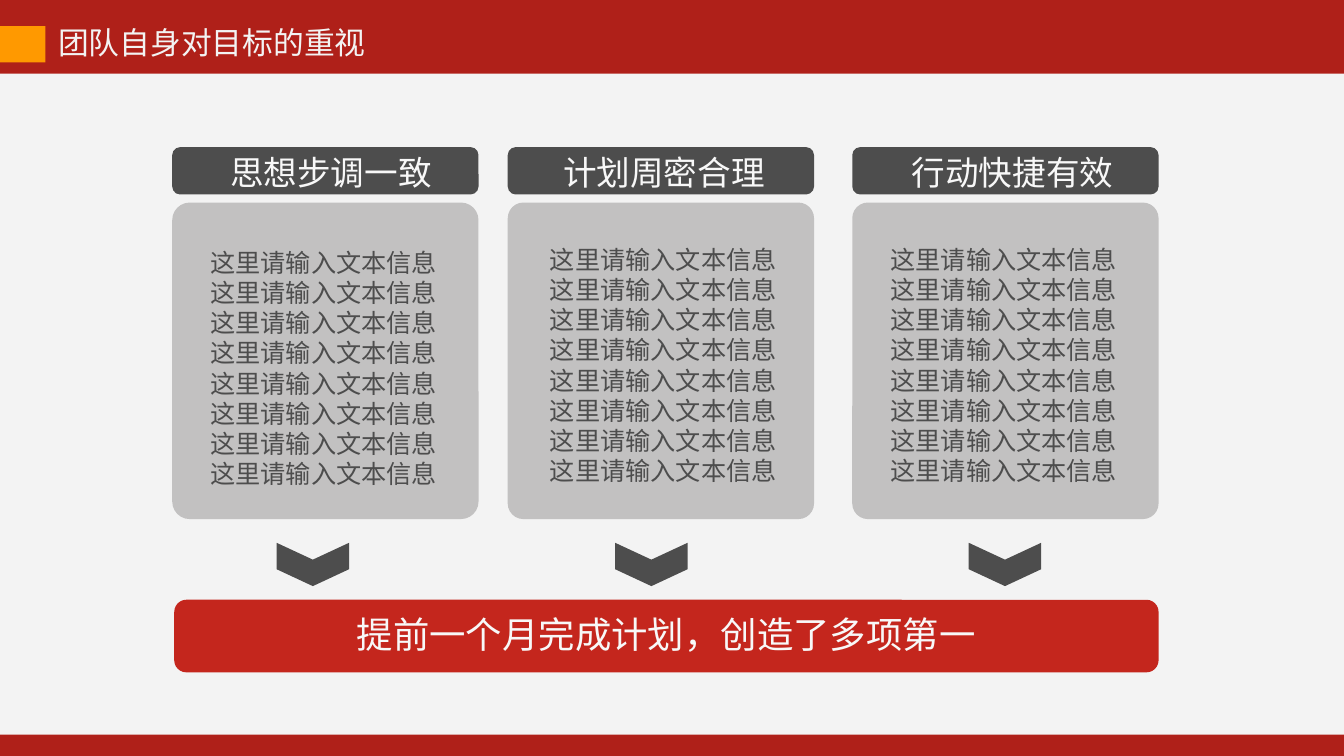
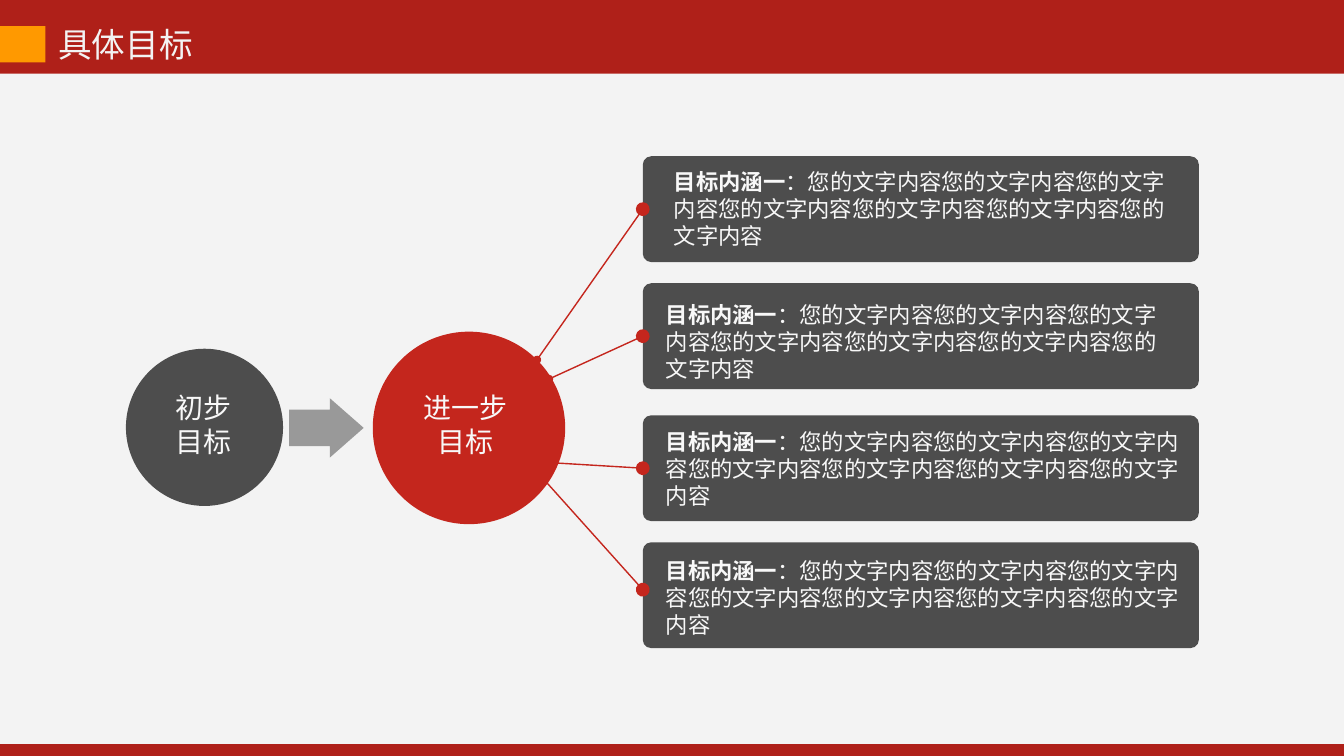
from lxml.etree import SubElement
from pptx import Presentation
from pptx.dml.color import RGBColor
from pptx.enum.shapes import MSO_CONNECTOR, MSO_SHAPE
from pptx.enum.text import PP_ALIGN
from pptx.oxml.ns import qn
from pptx.util import Inches, Pt

CELL = 0.1
COLUMNS, ROWS = 133.4, 75
FONT = "Noto Sans CJK SC"
COLOURS = {
    "band": "AF2019",
    "paper": "F3F3F3",
    "tab": "FF9900",
    "red": "C4261D",
    "dark": "4D4D4D",
    "card": "C2C1C1",
    "arrow": "999999",
    "light": "F8F8F8",
}


def grid(*cells):
    return [Inches(cell * CELL) for cell in cells]


def colour(name):
    return RGBColor.from_string(COLOURS[name])


class Painter:
    def __init__(self):
        self.deck = Presentation()
        self.deck.slide_width, self.deck.slide_height = grid(COLUMNS, ROWS)
        self.page = None

    def start_page(self, title, size, width, paper_rows):
        self.page = self.deck.slides.add_slide(self.deck.slide_layouts[6])
        fill = self.page.background.fill
        fill.solid()
        fill.fore_color.rgb = colour("band")
        self.shape(MSO_SHAPE.RECTANGLE, (0, 7.3, COLUMNS, paper_rows), "paper")
        self.text((4.8, 1.9, width, 5), [[(title, False)]], size, "paper", wrap=False)
        self.shape(MSO_SHAPE.RECTANGLE, (0, 2.6, 4.5, 3.6), "tab")

    def shape(self, kind, place, fill, adjustments=(), rotation=0):
        shape = self.page.shapes.add_shape(kind, *grid(*place))
        shape.shadow.inherit = False
        shape.fill.solid()
        shape.fill.fore_color.rgb = colour(fill)
        shape.line.fill.background()
        shape.rotation = rotation
        for index, value in enumerate(adjustments):
            shape.adjustments[index] = value
        return shape

    def text(self, place, paragraphs, size, ink="light", align=PP_ALIGN.LEFT, wrap=True):
        box = self.page.shapes.add_textbox(*grid(*place))
        frame = box.text_frame
        frame.word_wrap = wrap
        for index, runs in enumerate(paragraphs):
            para = frame.add_paragraph() if index else frame.paragraphs[0]
            para.alignment = align
            for words, bold in runs:
                span = para.add_run()
                span.text = words
                span.font.size = Pt(size)
                span.font.bold = bold
                span.font.color.rgb = colour(ink)
                span.font.name = FONT
                SubElement(span.font._element, qn("a:ea")).set("typeface", FONT)

    def centred(self, place, lines, size):
        self.text(place, [[(line, False)] for line in lines], size, align=PP_ALIGN.CENTER)

    def link(self, start, end, card=None):
        line = self.page.shapes.add_connector(MSO_CONNECTOR.STRAIGHT, *grid(*start, *end))
        if card is not None:
            line.end_connect(card, 1)
        line.line.color.rgb = colour("red")
        line.line.width = Pt(1)
        outline = line.line._get_or_add_ln()
        for end_name, size in (("headEnd", "med"), ("tailEnd", "lg")):
            dot = SubElement(outline, qn(f"a:{end_name}"))
            for key, value in (("type", "oval"), ("w", size), ("len", size)):
                dot.set(key, value)
        SubElement(line._element.spPr, qn("a:effectLst"))


def build_team_page(painter):
    painter.start_page("团队自身对目标的重视", 22, 32.9, 65.6)
    card_width = 30.4
    pillars = [
        ("思想步调一致", 17.1, 0.057, (21.2, 23.3), (19.9, 24, 25.3), 28.9),
        ("计划周密合理", 50.4, 0.051, (54.9, 22), (53.6, 23.7, 25.1), 62.5),
        ("行动快捷有效", 84.6, 0.051, (88.7, 23.6), (87.4, 23.7, 26.8), 97.6),
    ]
    for heading, left, corner, (head_left, head_width), body, chevron_left in pillars:
        painter.shape(MSO_SHAPE.ROUNDED_RECTANGLE, (left, 20.1, card_width, 31.4), "card", [corner])
        painter.text((*body, 25.2), [[("这里请输入文本信息", False)]] * 8, 18, "dark")
        painter.shape(MSO_SHAPE.ROUNDED_RECTANGLE, (left, 14.6, card_width, 4.7), "dark")
        painter.centred((head_left, 14.6, head_width, 5), [heading], 24)
        painter.shape(MSO_SHAPE.CHEVRON, (chevron_left, 52.4, 4.3, 7.2), "dark", [0.39], 90)
    painter.shape(MSO_SHAPE.ROUNDED_RECTANGLE, (17.3, 59.5, 97.7, 7.2), "red")
    painter.centred((33.7, 60.2, 64.9, 5.4), ["提前一个月完成计划，创造了多项第一"], 26)


def build_goal_page(painter):
    painter.start_page("具体目标", 24, 15.5, 66.5)
    painter.shape(MSO_SHAPE.RIGHT_ARROW, (28.7, 39.5, 7.4, 5.9), "arrow", [0.61, 0.57])
    painter.shape(MSO_SHAPE.OVAL, (12.5, 34.6, 15.6, 15.6), "dark")
    painter.centred((14.3, 38.3, 11.8, 8.3), ["初步", "目标"], 20)
    card_left = 63.8
    meaning = [("目标内涵一", True), ("：" + "您的文字内容" * 7, False)]
    goals = [
        (15.5, (65.9, 16.2, 51.2), (53.3, 35.7), None),
        (28.1, (65.1, 29.4, 52), (54.5, 37.6), None),
        (41.2, (65.1, 42, 54), (54.6, 45.9), None),
        (53.8, (65.1, 54.8, 54), (53.3, 46.8), 58.5),
    ]
    for top, body, start, free_end in goals:
        card = painter.shape(
            MSO_SHAPE.ROUNDED_RECTANGLE, (card_left, top, 55.2, 10.5), "dark", [0.08]
        )
        painter.text((*body, 9.1), [meaning], 16)
        if free_end is None:
            painter.link(start, (card_left, top + 5.25), card)
        else:
            painter.link(start, (card_left, free_end))
    painter.shape(MSO_SHAPE.OVAL, (37, 32.9, 19.1, 19.1), "red")
    painter.centred((40.3, 38.3, 11.8, 8.3), ["进一步目标"], 20)


def main():
    painter = Painter()
    build_team_page(painter)
    build_goal_page(painter)
    painter.deck.save("out.pptx")


if __name__ == "__main__":
    main()
